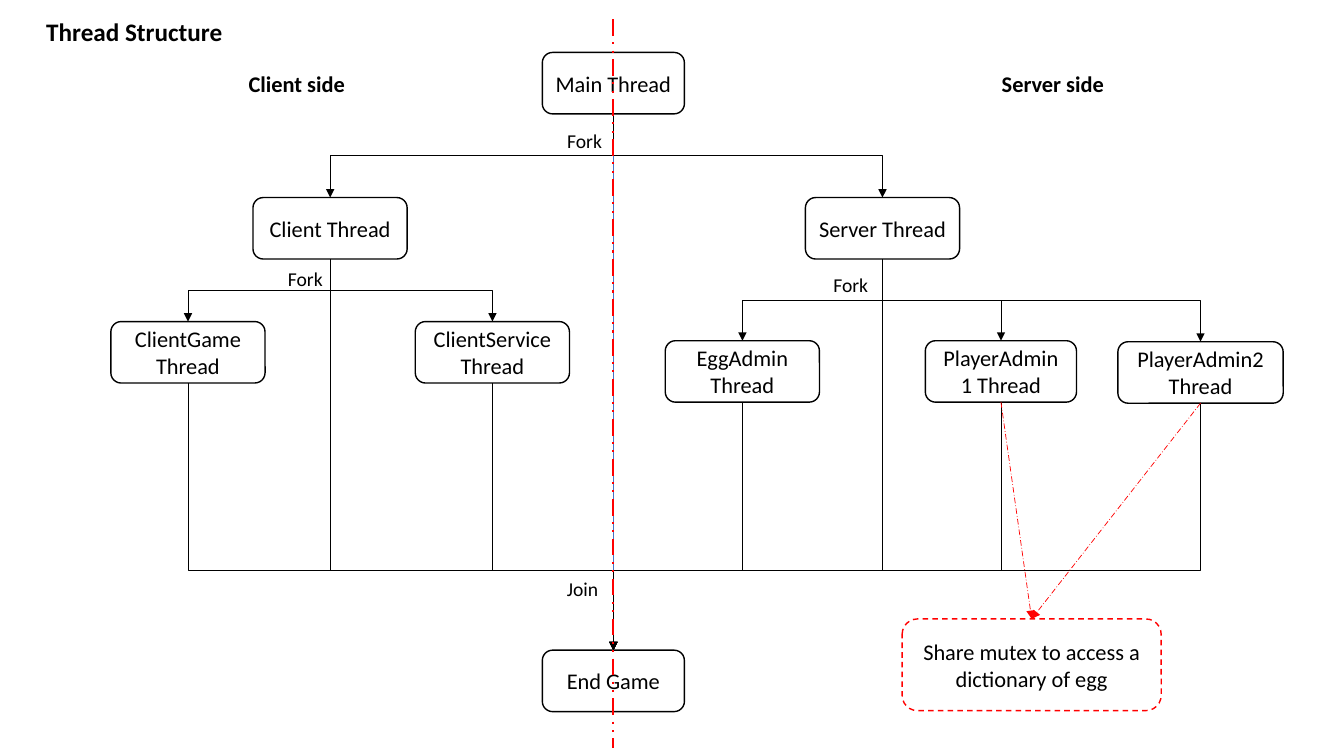
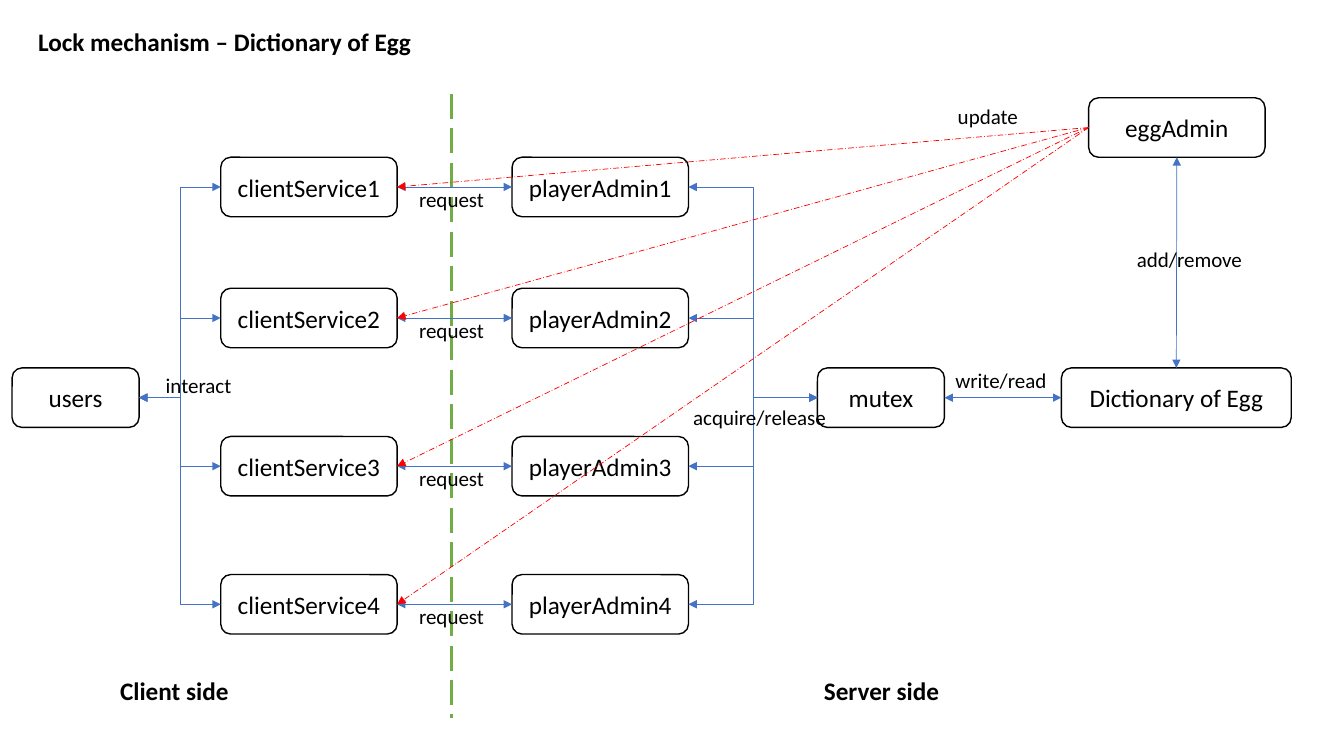
from dataclasses import dataclass
from typing import Any, Optional

from lxml import etree
from pptx import Presentation
from pptx.dml.color import RGBColor
from pptx.enum.dml import MSO_LINE
from pptx.enum.shapes import MSO_CONNECTOR, MSO_SHAPE
from pptx.enum.text import MSO_ANCHOR, MSO_AUTO_SIZE, PP_ALIGN
from pptx.oxml.ns import qn
from pptx.util import Emu, Inches, Pt

STRAIGHT, ELBOW = MSO_CONNECTOR.STRAIGHT, MSO_CONNECTOR.ELBOW
ROUNDED = MSO_SHAPE.ROUNDED_RECTANGLE
CENTER, LEFT_ALIGNED = PP_ALIGN.CENTER, PP_ALIGN.LEFT
MIDDLE, TOP_ANCHOR = MSO_ANCHOR.MIDDLE, MSO_ANCHOR.TOP
GROW, FIXED = MSO_AUTO_SIZE.SHAPE_TO_FIT_TEXT, MSO_AUTO_SIZE.NONE
DASH, LONG_DASH = MSO_LINE.DASH, MSO_LINE.LONG_DASH
DASH_DOT, DASH_DOT_DOT = MSO_LINE.LONG_DASH_DOT, MSO_LINE.DASH_DOT_DOT
TOP, LEFT, BOTTOM, RIGHT = range(4)  # connection sites of a rounded box

# The grid has ten cells to the inch in both directions.
COLUMNS, ROWS = 133.33, 75
CELL = Inches(0.1)


@dataclass(frozen=True)
class Theme:
    font: str = "Calibri"
    black: RGBColor = RGBColor(0, 0, 0)
    white: RGBColor = RGBColor(255, 255, 255)
    red: RGBColor = RGBColor(255, 0, 0)
    blue: RGBColor = RGBColor(0x44, 0x72, 0xC4)
    green: RGBColor = RGBColor(0x70, 0xAD, 0x47)
    title: int = 18
    thread: int = 16
    fork: int = 14
    role: int = 18
    action: int = 15


THEME = Theme()


@dataclass(frozen=True)
class Stroke:
    color: RGBColor = THEME.black
    width: float = 0.5
    dash: Optional[MSO_LINE] = None
    head: bool = False
    tail: bool = True


FLOW = Stroke()
MAIN_FLOW = Stroke(THEME.blue)
EXCHANGE = Stroke(THEME.blue, head=True)
SHARED = Stroke(THEME.red, dash=DASH_DOT)
OUTLINE = Stroke(width=1, tail=False)
SHARED_OUTLINE = Stroke(THEME.red, 1, DASH, tail=False)


@dataclass(frozen=True)
class Node:
    text: str
    column: float
    row: float
    columns: float
    rows: float
    size: int
    outline: Stroke = OUTLINE


@dataclass(frozen=True)
class Label:
    text: str
    column: float
    row: float
    columns: float
    rows: float
    size: int
    bold: bool = False
    align: PP_ALIGN = CENTER


@dataclass(frozen=True)
class Link:
    source: str
    source_side: int
    target: str
    target_side: int
    stroke: Stroke
    kind: MSO_CONNECTOR = ELBOW
    bend_row: Optional[float] = None


def cells(count: float) -> Emu:
    return Emu(round(count * CELL))


def assign(target: Any, values: dict[str, Any]) -> None:
    for name, value in values.items():
        setattr(target, name, value)


def style_line(line: Any, stroke: Stroke) -> None:
    line.color.rgb = stroke.color
    line.width = Pt(stroke.width)
    if stroke.dash is not None:
        line.dash_style = stroke.dash


def finish_connector(connector: Any, stroke: Stroke) -> None:
    """Style the line, add its arrowheads and remove the shadow."""
    style_line(connector.line, stroke)
    outline = connector.get_or_add_ln() if hasattr(connector, "get_or_add_ln") else None
    for tag, shown in (("a:headEnd", stroke.head), ("a:tailEnd", stroke.tail)):
        if shown:
            etree.SubElement(outline, qn(tag)).set("type", "triangle")
    etree.SubElement(connector._element.spPr, qn("a:effectLst"))


def write(frame: Any, text: str, size: int, bold: bool, align: PP_ALIGN,
          layout: dict[str, Any]) -> None:
    frame.text = text
    assign(frame, {"word_wrap": True, **layout})
    for paragraph in frame.paragraphs:
        paragraph.alignment = align
        for run in paragraph.runs:
            assign(run.font, {"name": THEME.font, "size": Pt(size), "bold": bold})
            run.font.color.rgb = THEME.black


def draw_node(slide: Any, node: Node) -> Any:
    box = slide.shapes.add_shape(
        ROUNDED, *map(cells, (node.column, node.row, node.columns, node.rows)))
    box.shadow.inherit = False
    box.fill.solid()
    box.fill.fore_color.rgb = THEME.white
    style_line(box.line, node.outline)
    write(box.text_frame, node.text, node.size, False, CENTER,
          {"auto_size": FIXED, "vertical_anchor": MIDDLE})
    return box


def draw_label(slide: Any, label: Label) -> None:
    box = slide.shapes.add_textbox(
        *map(cells, (label.column, label.row, label.columns, label.rows)))
    write(box.text_frame, label.text, label.size, label.bold, label.align,
          {"auto_size": GROW, "vertical_anchor": TOP_ANCHOR})


def draw_title(slide: Any, text: str, column: float, row: float) -> None:
    draw_label(slide, Label(text, column, row, 41, 4, THEME.title, True, LEFT_ALIGNED))


def draw_divider(slide: Any, column: float, first_row: float, last_row: float,
                 stroke: Stroke) -> None:
    divider = slide.shapes.add_connector(
        STRAIGHT, *map(cells, (column, first_row, column, last_row)))
    finish_connector(divider, stroke)


def turn_downward(connector: Any, source: Any, target: Any,
                  bend_row: Optional[float]) -> None:
    """Turn an elbow so that it leaves and arrives vertically."""
    start_x, end_x = (box.left + box.width // 2 for box in (source, target))
    start_y, end_y = source.top + source.height, target.top
    drop, shift = end_y - start_y, end_x - start_x
    assign(connector, {
        "left": Emu((start_x + end_x - drop) // 2),
        "top": Emu((start_y + end_y - abs(shift)) // 2),
        "width": Emu(drop),
        "height": Emu(abs(shift)),
    })
    properties = connector._element.spPr
    frame = properties.find(qn("a:xfrm"))
    rightward = shift > 0
    for name, value in {"rot": "16200000" if rightward else "5400000",
                        "flipH": str(int(rightward)), "flipV": "0"}.items():
        frame.set(name, value)
    if bend_row is not None:
        share = round((cells(bend_row) - start_y) / drop * 100000)
        guides = properties.find(qn("a:prstGeom")).find(qn("a:avLst"))
        guide = etree.SubElement(guides, qn("a:gd"))
        guide.set("name", "adj1")
        guide.set("fmla", f"val {share}")


def draw_link(slide: Any, boxes: dict[str, Any], link: Link) -> None:
    source, target = boxes[link.source], boxes[link.target]
    connector = slide.shapes.add_connector(link.kind, 0, 0, 0, 0)
    connector.begin_connect(source, link.source_side)
    connector.end_connect(target, link.target_side)
    if link.kind == ELBOW and link.source_side == BOTTOM:
        turn_downward(connector, source, target, link.bend_row)
    finish_connector(connector, link.stroke)


def draw_diagram(slide: Any, nodes: list[Node], links: list[Link],
                 labels: list[Label]) -> None:
    boxes = {node.text: draw_node(slide, node) for node in nodes}
    for link in links:
        draw_link(slide, boxes, link)
    for label in labels:
        draw_label(slide, label)


def build_thread_structure(slide: Any) -> None:
    main, end = "Main Thread", "End Game"
    client, server = "Client Thread", "Server Thread"
    game, service = "ClientGame Thread", "ClientService Thread"
    egg, player1, player2 = "EggAdmin Thread", "PlayerAdmin1 Thread", "PlayerAdmin2\nThread"
    mutex = "Share mutex to access a dictionary of egg"
    places = [
        (main, 53.8, 5.2, 14.1), (client, 25.1, 19.6, 15.3), (server, 79.9, 19.6, 15.3),
        (game, 11, 31.9, 15.3), (service, 41.2, 31.9, 15.3), (egg, 66, 33.8, 15.3),
        (player1, 91.8, 33.8, 15), (player2, 110.9, 33.9, 16.4), (end, 53.8, 64.5, 14.1),
    ]
    nodes = [Node(*place, 6.1, THEME.thread) for place in places]
    nodes.append(Node(mutex, 89.5, 61.4, 25.7, 9.1, THEME.thread, SHARED_OUTLINE))

    forks = {main: (client, server), client: (game, service),
             server: (egg, player1, player2)}
    links = [Link(main, BOTTOM, end, TOP, MAIN_FLOW, STRAIGHT)]
    links += [Link(parent, BOTTOM, child, TOP, FLOW)
              for parent, children in forks.items() for child in children]
    links += [Link(thread, BOTTOM, end, TOP, FLOW, bend_row=56.6)
              for thread in (client, game, service, egg, player1, player2, server)]
    links += [Link(player, BOTTOM, mutex, TOP, SHARED, STRAIGHT)
              for player in (player1, player2)]

    labels = [Label(side, column, 6.5, 15.3, 3.7, THEME.thread, True)
              for side, column in (("Client side", 21.8), ("Server side", 96.8))]
    labels += [Label(text, column, row, 8, 3.4, THEME.fork) for text, column, row in (
        ("Fork", 54, 12.3), ("Fork", 26.3, 26), ("Fork", 80.4, 26.6), ("Join", 53.8, 56.7))]

    draw_diagram(slide, nodes, links, labels)
    draw_divider(slide, 60.8, 1.9, 74.2, Stroke(THEME.red, 1.5, DASH_DOT_DOT, tail=False))
    draw_title(slide, "Thread Structure", 3.6, 1.1)


def build_lock_mechanism(slide: Any) -> None:
    users, mutex, egg, dictionary = "users", "mutex", "eggAdmin", "Dictionary of Egg"
    player_rows = (15.6, 28.6, 43.3, 57)
    places = [(users, 1.2, 36.5, 12.6), (mutex, 81.1, 36.5, 12.6),
              (egg, 108, 9.7, 17.5), (dictionary, 105.3, 36.5, 22.8)]
    links, labels = [], []
    for number, row in enumerate(player_rows, 1):
        service, player = f"clientService{number}", f"playerAdmin{number}"
        places += [(service, 21.9, row, 17.5), (player, 50.8, row, 17.5)]
        links += [
            Link(users, RIGHT, service, LEFT, EXCHANGE),
            Link(service, RIGHT, player, LEFT, EXCHANGE, STRAIGHT),
            Link(player, RIGHT, mutex, LEFT, EXCHANGE),
            Link(egg, LEFT, service, RIGHT, SHARED, STRAIGHT),
        ]
        labels.append(Label("request", 38.3, row + 2.4, 13, 3.5, THEME.action))
    links += [Link(mutex, RIGHT, dictionary, LEFT, EXCHANGE, STRAIGHT),
              Link(egg, BOTTOM, dictionary, TOP, EXCHANGE, STRAIGHT)]
    labels += [Label(*place, 3.5, THEME.action) for place in (
        ("acquire/release", 66.9, 39.6, 16.9), ("write/read", 92.8, 36, 13),
        ("interact", 13.2, 36.5, 13), ("add/remove", 111.5, 24, 13),
        ("update", 91.5, 9.8, 13))]
    labels += [Label(side, column, 66.5, columns, 4, THEME.title, True)
               for side, column, columns in (("Server side", 79.7, 15.5),
                                             ("Client side", 8.3, 18))]

    draw_title(slide, "Lock mechanism – Dictionary of Egg", 2.8, 2.1)
    draw_divider(slide, 44.8, 9.3, 71.2, Stroke(THEME.green, 2.25, LONG_DASH, tail=False))
    draw_diagram(slide, [Node(*place, 5.9, THEME.role) for place in places], links, labels)


def main() -> None:
    deck = Presentation()
    assign(deck, {"slide_width": cells(COLUMNS), "slide_height": cells(ROWS)})
    blank = deck.slide_layouts[6]
    for build in (build_thread_structure, build_lock_mechanism):
        build(deck.slides.add_slide(blank))
    deck.save("out.pptx")


if __name__ == "__main__":
    main()
